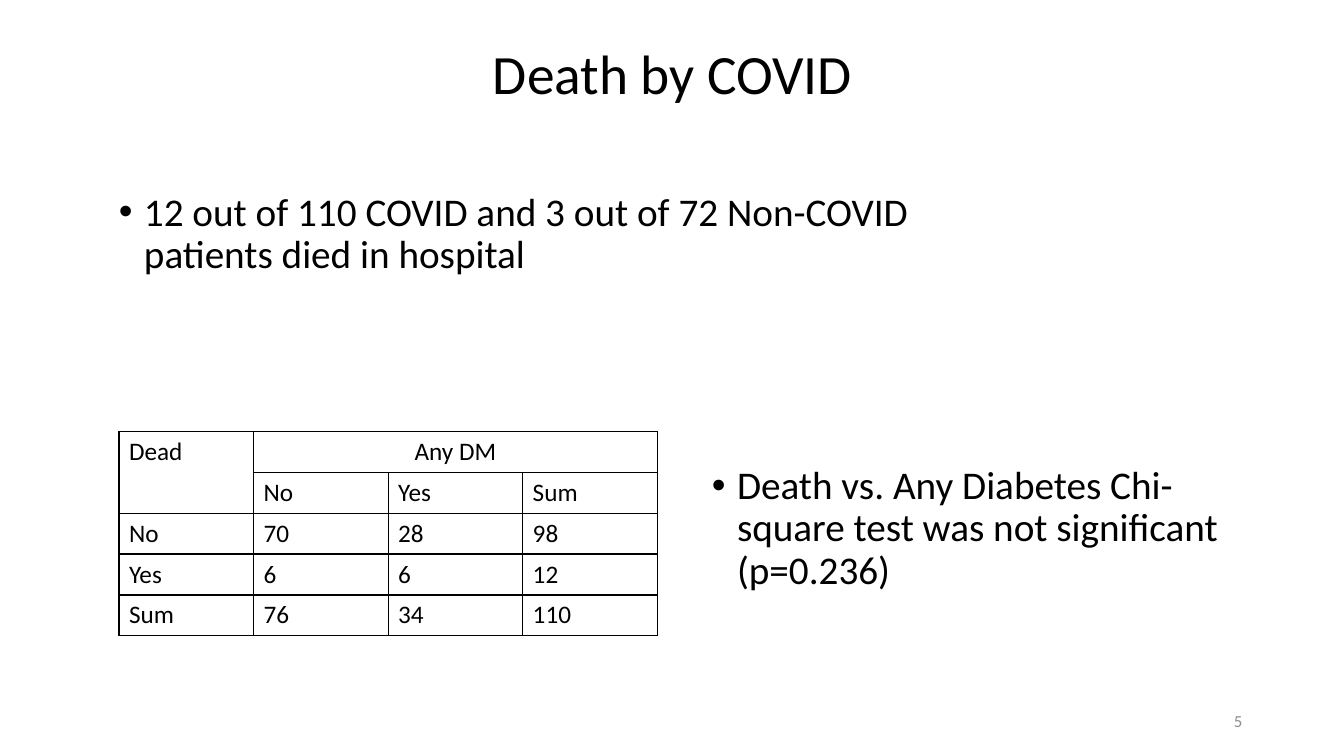
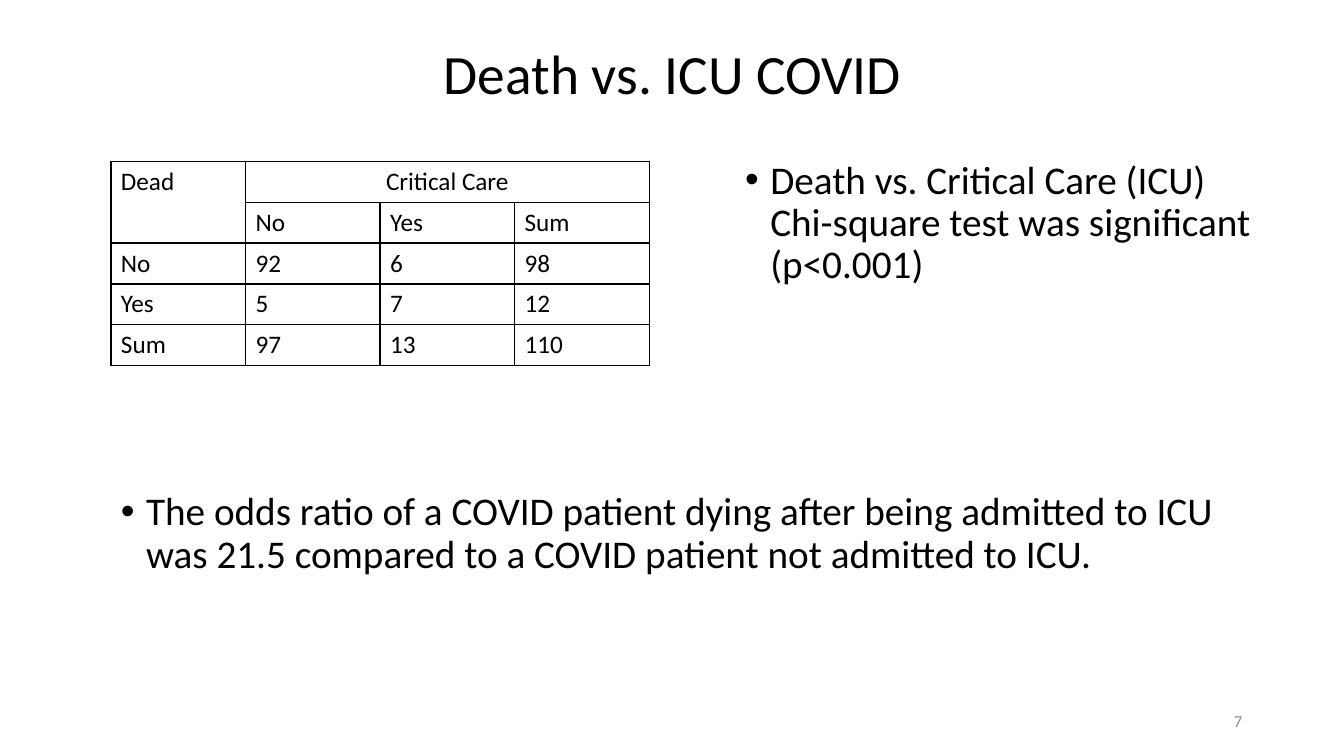
from lxml import etree
from pptx import Presentation, util as u
from pptx.dml.color import RGBColor
from pptx.enum import text
from pptx.oxml import ns

FONT = "Calibri"
BLACK = "000000"
GRAY = "8C8C8C"
TITLE_BOX = (0.92, 0.4, 11.5, 0.72)
NUMBER_BOX = (9.42, 6.95, 3, 0.4)
COLUMN_WIDTH = 5.34 / 4
ROW_HEIGHT = 0.4

SLIDES = [
    {
        "title": "Death by COVID",
        "number": "5",
        "finding": ("Death vs. Any Diabetes Chi-square test was not significant (p=0.236)",
                    (6.96, 4.57, 5.34, 1.4)),
        "note": ("12 out of 110 COVID and 3 out of 72 Non-COVID patients died in hospital",
                 (1.08, 1.86, 8.77, 1.45)),
        "factor": "Any DM",
        "table_at": (1.18, 4.28),
        "counts": [("No", "70", "28", "98"), ("Yes", "6", "6", "12"), ("Sum", "76", "34", "110")],
    },
    {
        "title": "Death vs. ICU COVID",
        "number": "7",
        "finding": ("Death vs. Critical Care (ICU) Chi-square test was significant (p<0.001)",
                    (7.29, 1.54, 5.34, 1.4)),
        "note": ("The odds ratio of a COVID patient dying after being admitted to ICU was 21.5 "
                 "compared to a COVID patient not admitted to ICU.",
                 (1.1, 4.83, 11.32, 1.4)),
        "factor": "Critical Care",
        "table_at": (1.1, 1.6),
        "counts": [("No", "92", "6", "98"), ("Yes", "5", "7", "12"), ("Sum", "97", "13", "110")],
    },
]


def color(value):
    return RGBColor.from_string(value)


def inches(values):
    return [u.Inches(value) for value in values]


def style(paragraph, size, ink=BLACK, align=text.PP_ALIGN.LEFT):
    paragraph.alignment = align
    paragraph.font.name = FONT
    paragraph.font.size = u.Pt(size)
    paragraph.font.color.rgb = color(ink)


def write(shape, words, box, anchor):
    shape.left, shape.top, shape.width, shape.height = inches(box)
    frame = shape.text_frame
    frame.text = words
    frame.word_wrap = True
    frame.auto_size = text.MSO_AUTO_SIZE.NONE
    frame.vertical_anchor = anchor
    return frame.paragraphs[0]


def write_bullet(shape, words, box):
    paragraph = write(shape, words, box, text.MSO_ANCHOR.TOP)
    style(paragraph, 28)
    paragraph.line_spacing = 0.9
    paragraph.space_before = u.Pt(10)
    properties = paragraph._p.get_or_add_pPr()
    properties.set("marL", str(u.Inches(0.25)))
    properties.set("indent", str(u.Inches(-0.25)))
    font = etree.SubElement(properties, ns.qn("a:buFont"))
    font.set("typeface", "Arial")
    etree.SubElement(properties, ns.qn("a:buChar")).set("char", "•")
    properties.append(properties.find(ns.qn("a:defRPr")))


def add_borders(cell):
    properties = cell._tc.get_or_add_tcPr()
    for position, side in enumerate(("lnL", "lnR", "lnT", "lnB")):
        line = etree.Element(ns.qn("a:" + side), w=str(u.Pt(1)))
        fill = etree.SubElement(line, ns.qn("a:solidFill"))
        etree.SubElement(fill, ns.qn("a:srgbClr")).set("val", BLACK)
        properties.insert(position, line)


def add_counts(slide, factor, position, counts):
    rows = [("Dead", factor, "", ""), ("", "No", "Yes", "Sum"), *counts]
    size = (COLUMN_WIDTH * 4, ROW_HEIGHT * len(rows))
    table = slide.shapes.add_table(len(rows), 4, *inches(position + size)).table
    table.first_row = table.horz_banding = False
    table.cell(0, 0).merge(table.cell(1, 0))
    table.cell(0, 1).merge(table.cell(0, 3))
    for row_index, row in enumerate(rows):
        for column_index, words in enumerate(row):
            cell = table.cell(row_index, column_index)
            cell.text = words
            centered = (row_index, column_index) == (0, 1)
            style(cell.text_frame.paragraphs[0], 18,
                  align=text.PP_ALIGN.CENTER if centered else text.PP_ALIGN.LEFT)
            cell.fill.background()
            add_borders(cell)


def add_slide(presentation, content):
    slide = presentation.slides.add_slide(presentation.slide_layouts[1])
    title = write(slide.shapes.title, content["title"], TITLE_BOX, text.MSO_ANCHOR.MIDDLE)
    style(title, 39.6, align=text.PP_ALIGN.CENTER)
    title.line_spacing = 0.9
    write_bullet(slide.placeholders[1], *content["finding"])
    number_box = slide.shapes.add_textbox(*inches(NUMBER_BOX))
    number = write(number_box, content["number"], NUMBER_BOX, text.MSO_ANCHOR.MIDDLE)
    style(number, 12, GRAY, text.PP_ALIGN.RIGHT)
    add_counts(slide, content["factor"], content["table_at"], content["counts"])
    words, box = content["note"]
    write_bullet(slide.shapes.add_textbox(*inches(box)), words, box)


def main():
    presentation = Presentation()
    presentation.slide_width, presentation.slide_height = inches((13.33, 7.5))
    for content in SLIDES:
        add_slide(presentation, content)
    presentation.save("out.pptx")


if __name__ == "__main__":
    main()
